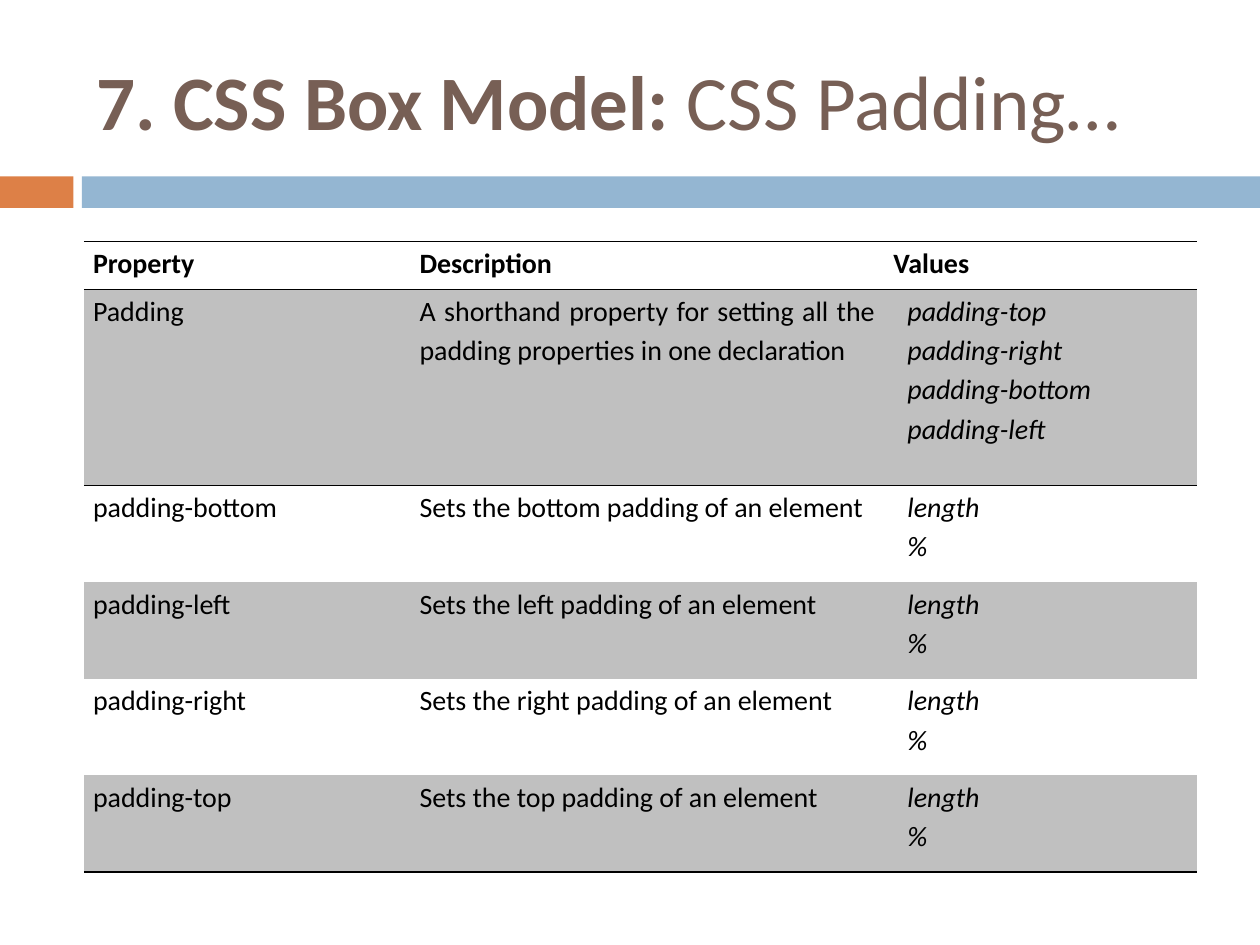
"""Build the CSS padding slide with its table of properties."""
from lxml.etree import SubElement
from pptx import Presentation
from pptx.dml.color import RGBColor
from pptx.enum.shapes import MSO_SHAPE
from pptx.enum.text import MSO_ANCHOR, PP_ALIGN
from pptx.oxml.ns import qn
from pptx.util import Pt

ORANGE = RGBColor(0xDD, 0x80, 0x47)
BLUE = RGBColor(0x94, 0xB6, 0xD2)
BROWN = RGBColor(0x77, 0x5F, 0x55)
GRAY = RGBColor(0xC0, 0xC0, 0xC0)
BLACK = RGBColor(0, 0, 0)
NO_STYLE = "{2D5ABB26-0587-4C30-8999-92F81FD0307C}"


def add_text(p, text, size=16, color=BLACK, bold=False, italic=False):
    for i, line in enumerate(text.split("\n")):
        if i:
            p.add_line_break()
            SubElement(p._p[-1], qn("a:rPr"), sz=str(size * 100))
        r = p.add_run()
        r.text = line
        r.font.name, r.font.size, r.font.color.rgb = "Calibri", Pt(size), color
        r.font.bold, r.font.italic = bold, italic


def add_border(cell, tag):
    ln = SubElement(cell._tc.get_or_add_tcPr(), qn(tag), w=str(Pt(1)))
    fill = SubElement(ln, qn("a:solidFill"))
    SubElement(fill, qn("a:srgbClr"), val=str(BLACK))


prs = Presentation()
prs.slide_width, prs.slide_height = Pt(720), Pt(540)
s = prs.slides.add_slide(prs.slide_layouts[6])

for left, width, color in ((0, 42, ORANGE), (46.8, 673.2, BLUE)):
    sp = s.shapes.add_shape(MSO_SHAPE.RECTANGLE, Pt(left), Pt(100.8), Pt(width), Pt(18))
    sp.shadow.inherit = False
    sp.fill.solid()
    sp.fill.fore_color.rgb = color
    sp.line.fill.background()

tf = s.shapes.add_textbox(Pt(48), Pt(18), Pt(642), Pt(78)).text_frame
tf.word_wrap = True
tf.vertical_anchor = MSO_ANCHOR.MIDDLE
p = tf.paragraphs[0]
add_text(p, "7. CSS Box Model: ", size=44, color=BROWN, bold=True)
add_text(p, "CSS Padding…", size=44, color=BROWN)

rows = [
    ("Property", "Description", "Values"),
    ("Padding",
     "A shorthand property for setting all the padding properties in one declaration",
     "padding-top\npadding-right\npadding-bottom\npadding-left"),
]
for side in ("bottom", "left", "right", "top"):
    rows.append((f"padding-{side}", f"Sets the {side} padding of an element", "length\n%"))

heights = [27.4, 112.2] + [55.2] * 4
widths = [186.6, 270.8, 178.6]
table = s.shapes.add_table(len(rows), len(widths), Pt(48), Pt(138),
                           Pt(sum(widths)), Pt(sum(heights))).table
table.first_row = table.horz_banding = False
table._tbl.tblPr.find(qn("a:tableStyleId")).text = NO_STYLE
for col, width in zip(table.columns, widths):
    col.width = Pt(width)

for i, (row, height) in enumerate(zip(rows, heights)):
    table.rows[i].height = Pt(height)
    for j, text in enumerate(row):
        cell = table.cell(i, j)
        cell.margin_left = cell.margin_right = Pt(5.2)
        cell.margin_top = cell.margin_bottom = 0
        if i < 2:
            add_border(cell, "a:lnT")
        if i in (0, len(rows) - 1):
            add_border(cell, "a:lnB")
        if i % 2:
            cell.fill.solid()
            cell.fill.fore_color.rgb = GRAY
        else:
            cell.fill.background()
        p = cell.text_frame.paragraphs[0]
        p.line_spacing = 1.15
        value = i > 0 and j == 2
        if value:
            p._p.get_or_add_pPr().set("marL", str(Pt(8)))
            p._p.get_or_add_pPr().set("indent", "0")
        else:
            p.alignment = PP_ALIGN.JUSTIFY
        add_text(p, text, bold=i == 0, italic=value)

prs.save("out.pptx")
